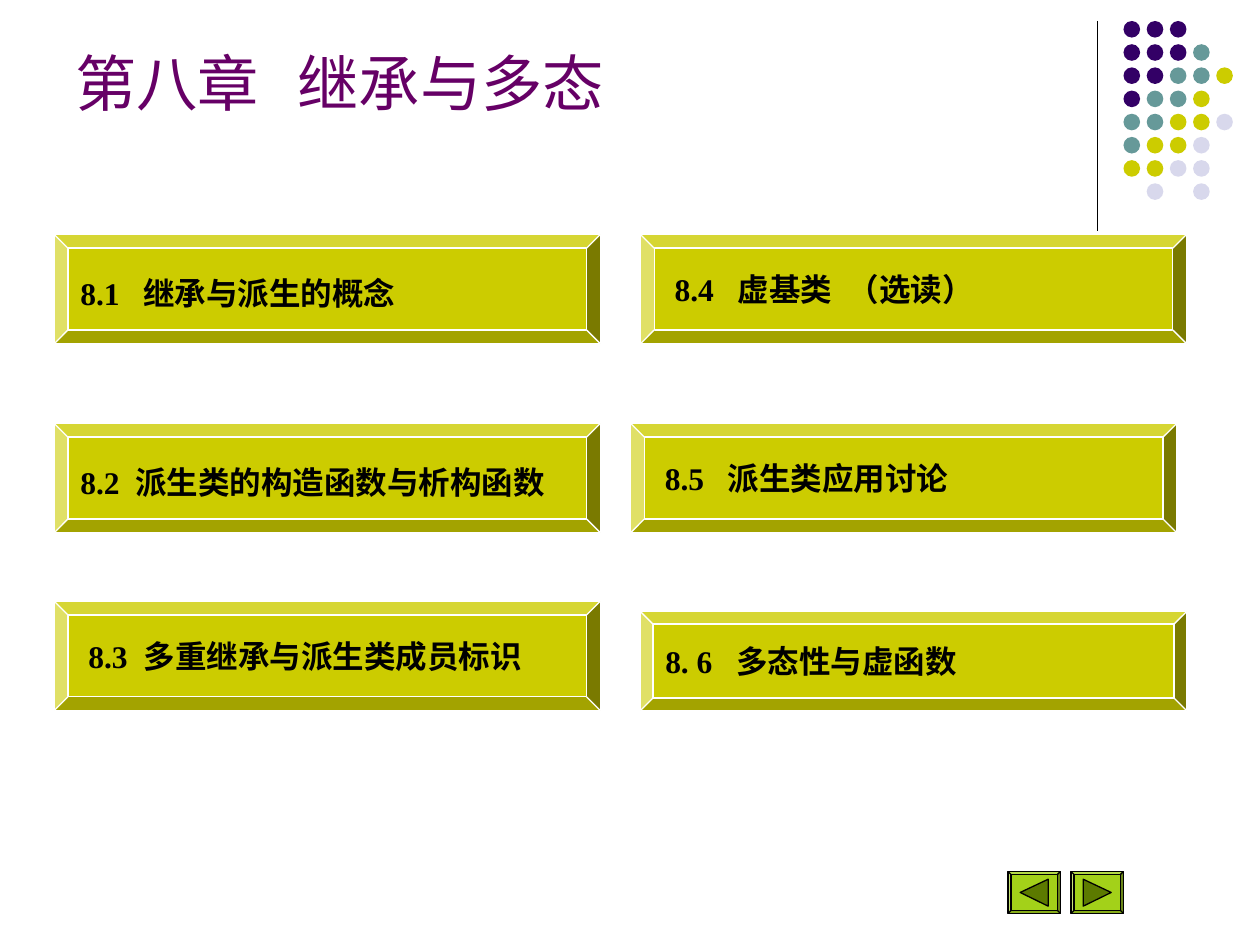
import pptx
import pptx.util
import pptx.dml.color
import pptx.enum.shapes
import pptx.enum.text
import pptx.oxml
import pptx.oxml.ns
from dataclasses import dataclass

Pt = pptx.util.Pt
RGB = pptx.dml.color.RGBColor.from_string
Shape = pptx.enum.shapes.MSO_SHAPE
Anchor = pptx.enum.text.MSO_ANCHOR
qn = pptx.oxml.ns.qn


@dataclass(frozen=True)
class Theme:
    title: str = "660066"
    ink: str = "000000"
    edge: str = "FFFFFF"
    panel: str = "CCCC00"
    button: str = "99CC00"
    arrow: str = "5C7A00"
    dots: tuple = ("330066", "669999", "CCCC00", "D8D8EC")
    title_size: float = 35
    panel_size: float = 18
    cjk: str = "Noto Sans CJK SC"
    latin: str = "Times New Roman"


theme = Theme()


def write(box, text, size, color, font, bold=False, anchor=Anchor.MIDDLE,
          left=7.2, top=3.6, tabs=()):
    """Fill a box with one left-aligned paragraph; tabs are stops in points."""
    frame = box.text_frame
    frame.word_wrap = True
    frame.vertical_anchor = anchor
    frame.margin_left, frame.margin_top = Pt(left), Pt(top)
    frame.margin_right, frame.margin_bottom = Pt(7.2), Pt(3.6)
    para = frame.paragraphs[0]
    para.alignment = pptx.enum.text.PP_ALIGN.LEFT
    stops = pptx.oxml.parse_xml(
        f'<a:tabLst {pptx.oxml.ns.nsdecls("a")}>'
        + "".join(f'<a:tab pos="{Pt(stop)}" algn="l"/>' for stop in tabs)
        + "</a:tabLst>")
    para._p.get_or_add_pPr().append(stops)
    span = para.add_run()
    span.text = text
    span.font.size, span.font.bold, span.font.name = Pt(size), bold, font
    span.font.color.rgb = RGB(color)
    east_asian = span._r.get_or_add_rPr().makeelement(qn("a:ea"), {"typeface": theme.cjk})
    span._r.rPr.find(qn("a:latin")).addnext(east_asian)


def paint(shape, fill, line=None):
    """Give a shape a flat fill and an optional thin outline."""
    shape.shadow.inherit = False
    shape.fill.solid()
    shape.fill.fore_color.rgb = RGB(fill)
    if line:
        shape.line.color.rgb = RGB(line)
        shape.line.width = Pt(0.75)
    else:
        shape.line.fill.background()


deck = pptx.Presentation()
deck.slide_width, deck.slide_height = Pt(720), Pt(540)
page = deck.slides.add_slide(deck.slide_layouts[6])

# Vertical rule beside the dots
rule = page.shapes.add_connector(
    pptx.enum.shapes.MSO_CONNECTOR.STRAIGHT, Pt(627), Pt(12), Pt(627), Pt(132))
rule.line.color.rgb = RGB(theme.ink)
rule.line.width = Pt(0.75)
rule._element.spPr.append(rule._element.makeelement(qn("a:effectLst"), {}))

# Dot pattern: digits pick a dot colour, a point leaves a gap
pattern = ["000", "0001", "00112", "0112", "11223", "1223", "2233", ".3.3"]
dots = page.shapes.add_group_shape()
for row, codes in enumerate(pattern):
    for column, code in enumerate(codes):
        if code != ".":
            dot = dots.shapes.add_shape(
                Shape.OVAL, Pt(642 + 13.25 * column), Pt(12 + 13.25 * row), Pt(9.5), Pt(9.5))
            paint(dot, theme.dots[int(code)])

# Title
title = page.shapes.add_textbox(Pt(36), Pt(9.4), Pt(594), Pt(62))
write(title, "第八章\t继承与多态", theme.title_size, theme.title, theme.cjk,
      anchor=Anchor.BOTTOM, tabs=[127])

# Section panels: text, left, top, height, text indent, text drop, tab stops
panels = [
    ("8.1\t继承与派生的概念", 31, 134, 62.4, 0, 4.6, [36]),
    ("8.2\t派生类的构造函数与析构函数", 31, 242, 62.4, 0, 4.6, [31.5]),
    ("8.3\t多重继承与派生类成员标识", 31, 343.6, 62.4, 4.5, 0, [31.5]),
    ("8.4\t虚基类\t（选读）", 366, 134, 62.4, 4.5, 0, [36, 99]),
    ("8.5\t派生类应用讨论", 360.4, 242, 62.4, 4.5, 0, [36]),
    ("8. 6\t多态性与虚函数", 366, 349.5, 56.5, 0, 0, [40.5]),
]
for text, left, top, height, indent, drop, tabs in panels:
    panel = page.shapes.add_shape(Shape.BEVEL, Pt(left), Pt(top), Pt(312), Pt(height))
    panel.adjustments[0] = 0.125
    paint(panel, theme.panel, theme.edge)
    write(panel, text, theme.panel_size, theme.ink, theme.latin, bold=True,
          left=7.2 + indent, top=3.6 + drop, tabs=tabs)

# Back and forward buttons: base and tip of each arrow
for left, base, tip in [(576, 23, 7), (612, 7, 23)]:
    button = page.shapes.add_shape(Shape.BEVEL, Pt(left), Pt(498), Pt(30), Pt(24))
    button.adjustments[0] = 0.07
    paint(button, theme.button, theme.ink)
    color = button.fill._xPr.find(qn("a:solidFill"))[0]
    color.append(color.makeelement(qn("a:alpha"), {"val": "90000"}))
    outline = page.shapes.build_freeform(Pt(left + base), Pt(502.4))
    outline.add_line_segments(
        [(Pt(left + tip), Pt(510)), (Pt(left + base), Pt(517.8))], close=True)
    paint(outline.convert_to_shape(), theme.arrow, theme.ink)

deck.save("out.pptx")
